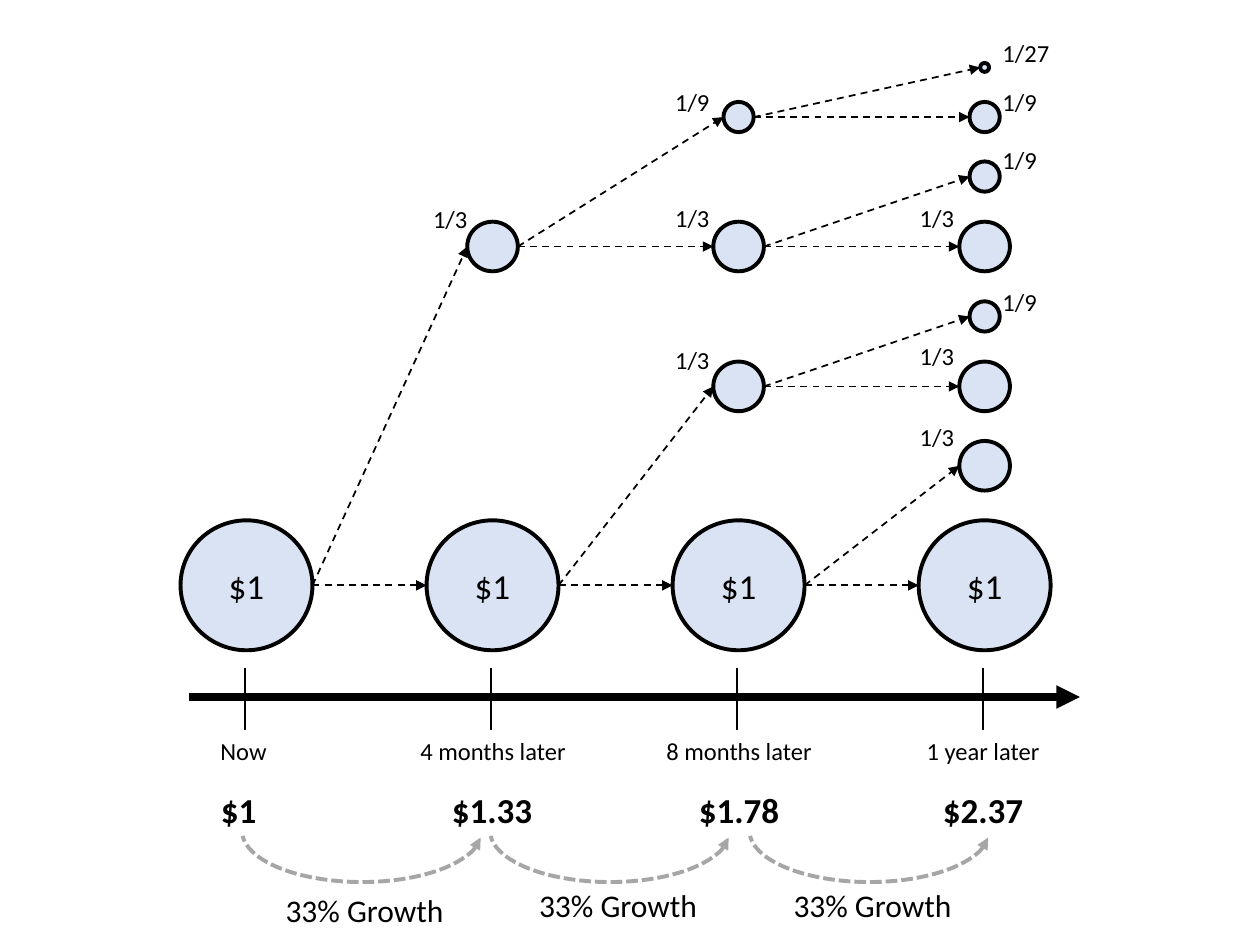
from lxml.etree import SubElement
from pptx import Presentation
from pptx.dml.color import RGBColor
from pptx.enum.dml import MSO_LINE
from pptx.enum.shapes import MSO_CONNECTOR, MSO_SHAPE
from pptx.enum.text import MSO_ANCHOR, MSO_AUTO_SIZE, PP_ALIGN
from pptx.oxml.ns import qn
from pptx.util import Cm, Pt

COLORS = {"ink": "000000", "circle": "DAE3F3", "growth": "A6A6A6"}
FONT = "Calibri"


def set_line(sp, color, width, dash=None, arrow=None):
    sp.line.color.rgb = RGBColor.from_string(COLORS[color])
    sp.line.width = Pt(width)
    if dash:
        sp.line.dash_style = dash
    if arrow:
        SubElement(sp.line._get_or_add_ln(), qn(f"a:{arrow}"), type="triangle")


def set_text(sp, text, size, align, bold=False):
    tf = sp.text_frame
    tf.word_wrap = False
    p = tf.paragraphs[0]
    p.alignment = align
    r = p.add_run()
    r.text = text
    r.font.name = FONT
    r.font.size = Pt(size)
    r.font.bold = bold
    r.font.color.rgb = RGBColor.from_string(COLORS["ink"])
    return tf


prs = Presentation()
prs.slide_width = Cm(25.4)
prs.slide_height = Cm(19.05)
s = prs.slides.add_slide(prs.slide_layouts[6])

columns = [4.97 + 4.96 * i for i in range(4)]
sizes = {"$1": (2.66, 2.62), "1/3": (1.02, 1), "1/9": (0.61, 0.61), "1/27": (0.18, 0.18)}

# column, centre y, share, parent y, label left, label top
nodes = [
    (0, 11.8, "$1", None, None, None),
    (1, 11.8, "$1", 11.8, None, None),
    (1, 4.97, "1/3", 11.8, 8.48, 3.99),
    (2, 11.8, "$1", 11.8, None, None),
    (2, 7.79, "1/3", 11.8, 13.36, 6.83),
    (2, 4.97, "1/3", 4.97, 13.36, 3.96),
    (2, 2.36, "1/9", 4.97, 13.36, 1.63),
    (3, 11.8, "$1", 11.8, None, None),
    (3, 9.39, "1/3", 11.8, 18.29, 8.38),
    (3, 7.79, "1/3", 7.79, 18.29, 6.76),
    (3, 6.38, "1/9", 7.79, 19.96, 5.66),
    (3, 4.97, "1/3", 4.97, 18.29, 3.96),
    (3, 3.56, "1/9", 4.97, 19.96, 2.79),
    (3, 2.36, "1/9", 2.36, 19.96, 1.63),
    (3, 1.36, "1/27", 2.36, 19.96, 0.64),
]
shares = {(col, y): share for col, y, share, *_ in nodes}

lines = [(3.81, 14.05, 21.77, 14.05, 4.5, None, "tailEnd")]
lines += [(x - 0.03, 13.46, x - 0.03, 14.71, 1.5, None, None) for x in columns]
labels = []

for col, y, share, parent_y, label_x, label_y in nodes:
    x = columns[col]
    w, h = sizes[share]
    sp = s.shapes.add_shape(MSO_SHAPE.OVAL, Cm(x - w / 2), Cm(y - h / 2), Cm(w), Cm(h))
    sp.shadow.inherit = False
    sp.fill.solid()
    sp.fill.fore_color.rgb = RGBColor.from_string(COLORS["circle"])
    set_line(sp, "ink", 2.25)
    if share == "$1":
        tf = set_text(sp, share, 20, PP_ALIGN.CENTER)
        tf.vertical_anchor = MSO_ANCHOR.MIDDLE
    else:
        label_w = 1.45 if share == "1/27" else 1.22
        labels.append((label_x, label_y, label_w, 0.86, share, 14, PP_ALIGN.LEFT, False))
    if parent_y is not None:
        parent_w = sizes[shares[col - 1, parent_y]][0]
        start_x = columns[col - 1] + parent_w / 2
        lines.append((start_x, parent_y, x - w / 2, y, 1, MSO_LINE.DASH, "tailEnd"))

for x1, y1, x2, y2, width, dash, arrow in lines:
    sp = s.shapes.add_connector(MSO_CONNECTOR.STRAIGHT, Cm(x1), Cm(y1), Cm(x2), Cm(y2))
    set_line(sp, "ink", width, dash, arrow)
    SubElement(sp._element.spPr, qn("a:effectLst"))

dates = [
    ("Now", 4.91, 1.45, "$1", 4.81, 1.24),
    ("4 months later", 9.94, 3.48, "$1.33", 9.92, 2.16),
    ("8 months later", 14.9, 3.48, "$1.78", 14.9, 2.16),
    ("1 year later", 19.82, 2.82, "$2.37", 19.82, 2.16),
]
for date, date_x, date_w, total, total_x, total_w in dates:
    labels.append((date_x - date_w / 2, 14.71, date_w, 0.86, date, 14, PP_ALIGN.CENTER, False))
    labels.append((total_x - total_w / 2, 15.77, total_w, 1.12, total, 20, PP_ALIGN.CENTER, True))

for arc_x, label_x, label_y in [(4.88, 5.33, 17.83), (9.88, 10.44, 17.73), (15.11, 15.57, 17.73)]:
    sp = s.shapes.add_shape(MSO_SHAPE.ARC, Cm(arc_x), Cm(15.72), Cm(4.83), Cm(2.06))
    sp.shadow.inherit = False
    sp.rotation = 180
    sp.adjustments[0] = 109.9
    sp.adjustments[1] = 214.57
    sp.fill.background()
    set_line(sp, "growth", 2.25, MSO_LINE.SQUARE_DOT, "headEnd")
    labels.append((label_x, label_y, 4.04, 1.02, "33% Growth", 18, PP_ALIGN.CENTER, False))

for x, y, w, h, text, size, align, bold in labels:
    sp = s.shapes.add_textbox(Cm(x), Cm(y), Cm(w), Cm(h))
    tf = set_text(sp, text, size, align, bold)
    tf.auto_size = MSO_AUTO_SIZE.SHAPE_TO_FIT_TEXT

prs.save("out.pptx")
